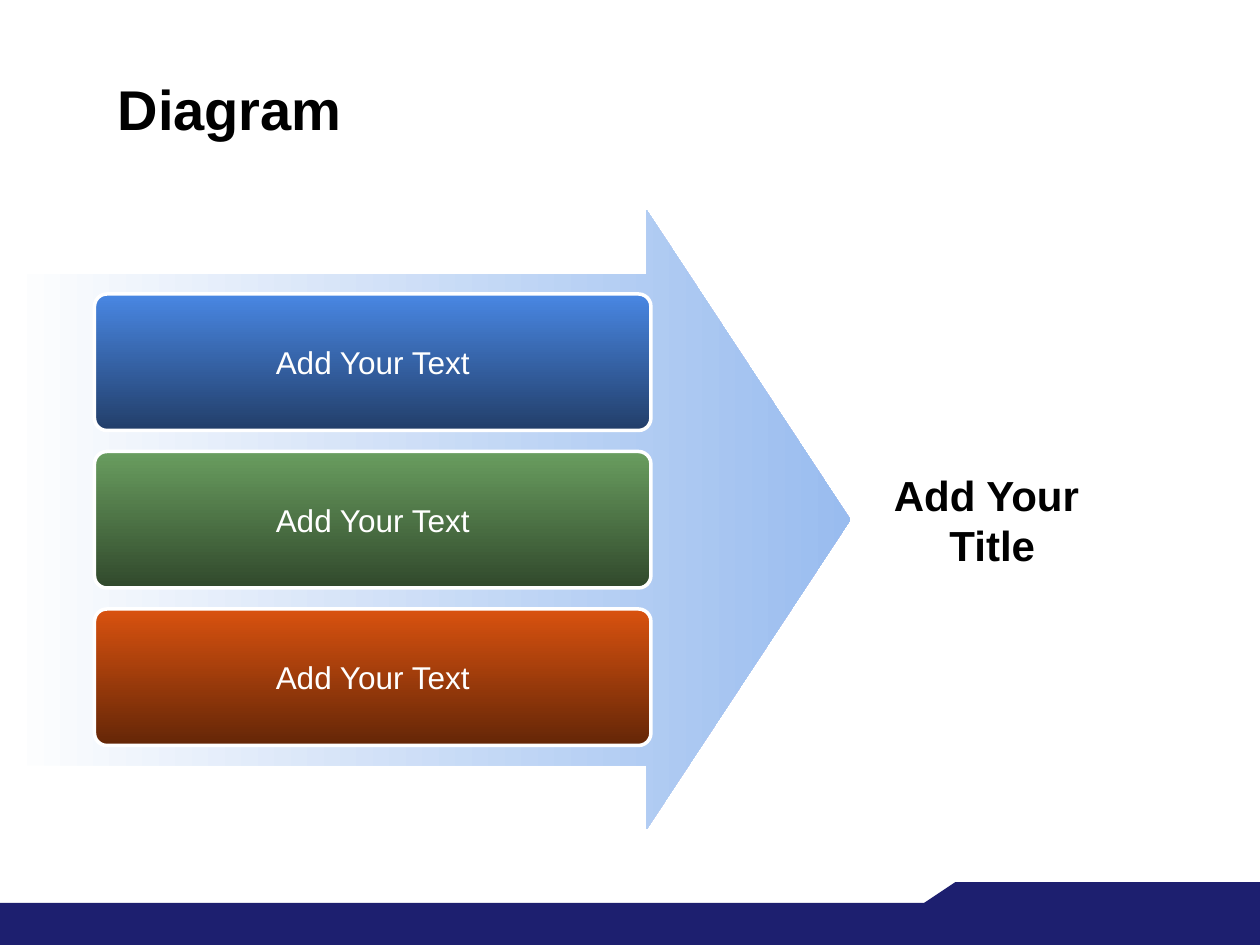
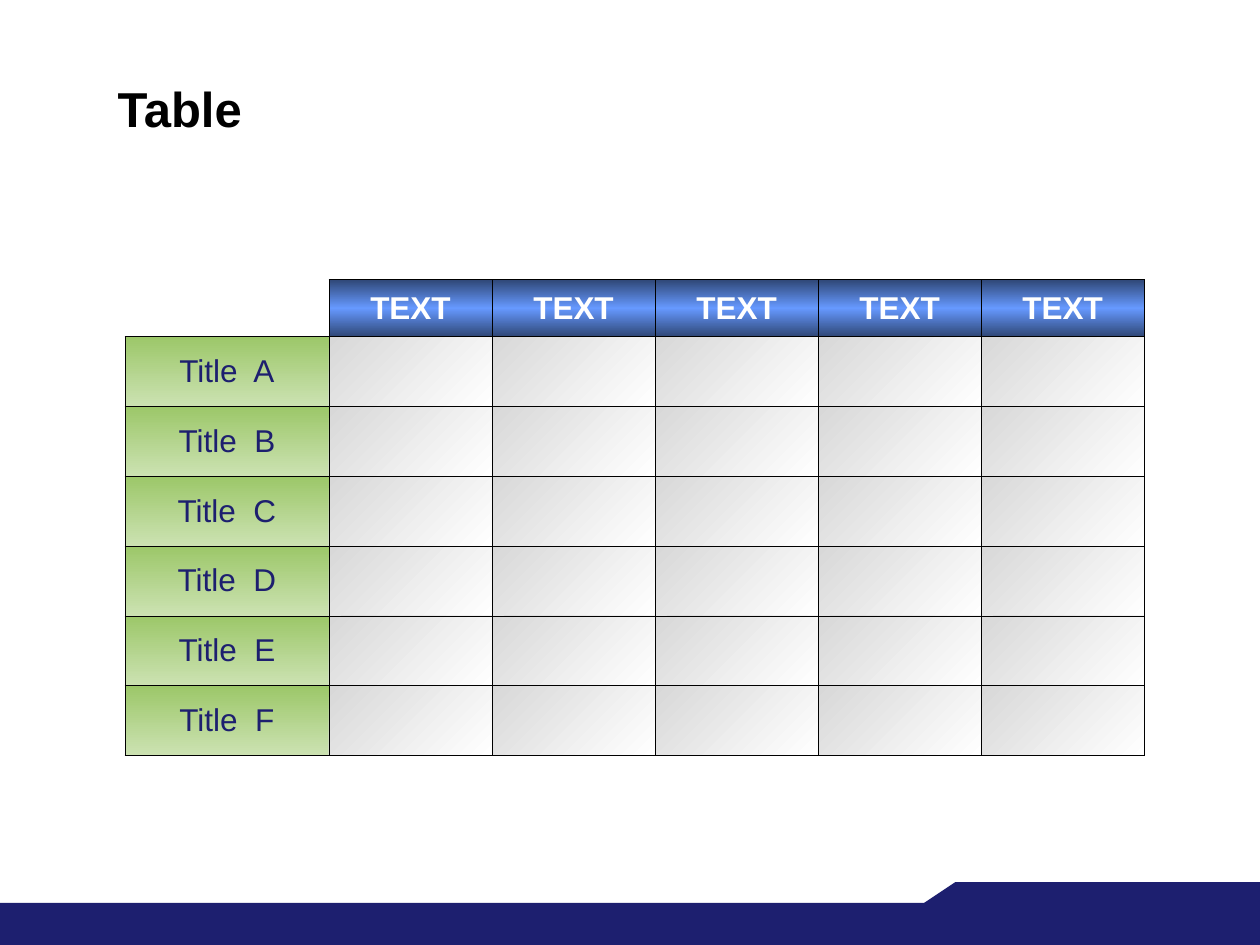
from lxml.etree import SubElement
from pptx import Presentation
from pptx.dml.color import RGBColor
from pptx.enum.shapes import MSO_SHAPE
from pptx.enum.text import MSO_ANCHOR, PP_ALIGN
from pptx.oxml.ns import qn
from pptx.util import Pt

FONT = "Arial"
NAVY = RGBColor(0x1D, 0x1F, 0x6F)
BLACK = RGBColor(0, 0, 0)
WHITE = RGBColor(0xFF, 0xFF, 0xFF)
ARROW = RGBColor(0xFC, 0xFD, 0xFE), RGBColor(0x99, 0xBC, 0xEF)
BLUE = RGBColor(0x49, 0x87, 0xE3), RGBColor(0x22, 0x3E, 0x69)
GREEN = RGBColor(0x69, 0x9D, 0x5F), RGBColor(0x31, 0x49, 0x2C)
RUST = RGBColor(0xD9, 0x52, 0x0F), RGBColor(0x64, 0x26, 0x07)
DUSK = RGBColor(0x2F, 0x47, 0x76)
HEAD = DUSK, RGBColor(0x66, 0x99, 0xFF), DUSK
LIME = RGBColor(0x9C, 0xC7, 0x69), RGBColor(0xCC, 0xE2, 0xB2)
GREY = RGBColor(0xD8, 0xD8, 0xD8), WHITE


def shade(item, node, angle, tones):
    """Fill a shape or cell with evenly spaced tones; angle runs clockwise."""
    item.fill.gradient()
    item.fill.gradient_angle = -angle % 360
    stops = node.find(".//" + qn("a:gsLst"))
    stops.clear()
    for i, tone in enumerate(tones):
        stop = SubElement(stops, qn("a:gs"), pos=str(100000 * i // (len(tones) - 1)))
        SubElement(stop, qn("a:srgbClr"), val=str(tone))


def style(para, size, color, bold=False, align=PP_ALIGN.CENTER):
    para.alignment = align
    para.font.name = FONT
    para.font.size = Pt(size)
    para.font.bold = bold
    para.font.color.rgb = color


deck = Presentation()
deck.slide_width, deck.slide_height = Pt(720), Pt(540)
layout = deck.slide_layouts[5]

# Shared title place
title = layout.placeholders[0]
title.left, title.top, title.width, title.height = Pt(60), Pt(39.6), Pt(618), Pt(44.6)

# Slides with their titles
pages = []
for name, size in (("Diagram", 32), ("Table", 28)):
    page = deck.slides.add_slide(layout)
    page.shapes.title.text = name
    page.shapes.title.text_frame.vertical_anchor = MSO_ANCHOR.MIDDLE
    style(page.shapes.title.text_frame.paragraphs[0], size, BLACK, True, PP_ALIGN.LEFT)
    pages.append(page)
first, second = pages

# Footer band and its raised step, moved to the layout
band = first.shapes.add_shape(MSO_SHAPE.RECTANGLE, 0, Pt(516), Pt(720), Pt(24))
pen = first.shapes.build_freeform(528, 516, scale=Pt(1))
pen.add_line_segments([(546, 504), (720, 504), (720, 522), (528, 522)])
step = pen.convert_to_shape()
tree = layout.element.find(".//" + qn("p:spTree"))
for part in (band, step):
    part.shadow.inherit = False
    part.fill.solid()
    part.fill.fore_color.rgb = NAVY
    part.line.fill.background()
    tree.append(part.element)

# Diagram: big arrow
arrow = first.shapes.add_shape(MSO_SHAPE.RIGHT_ARROW, Pt(15.5), Pt(120), Pt(470.5), Pt(354))
arrow.adjustments[0], arrow.adjustments[1] = 0.793, 0.329
arrow.shadow.inherit = False
arrow.line.fill.background()
shade(arrow, arrow.element, 0, ARROW)

# Diagram: three boxes on the arrow
for i, tones in enumerate((BLUE, GREEN, RUST)):
    box = first.shapes.add_shape(
        MSO_SHAPE.ROUNDED_RECTANGLE, Pt(54), Pt(168 + 90 * i), Pt(318), Pt(78))
    box.adjustments[0] = 0.091
    box.shadow.inherit = False
    shade(box, box.element, 90, tones)
    box.line.color.rgb = WHITE
    box.line.width = Pt(2)
    frame = box.text_frame
    frame.word_wrap = False
    frame.vertical_anchor = MSO_ANCHOR.MIDDLE
    frame.text = "Add Your Text"
    style(frame.paragraphs[0], 18, WHITE)

# Diagram: label at the arrow tip
label = first.shapes.add_textbox(Pt(468), Pt(246), Pt(198), Pt(102))
frame = label.text_frame
frame.word_wrap = True
frame.vertical_anchor = MSO_ANCHOR.MIDDLE
frame.text = "Add Your \nTitle"
for para in frame.paragraphs:
    style(para, 24, BLACK, True)

# Table
rows = [[""] + ["TEXT"] * 5] + [[f"Title  {mark}"] + [""] * 5 for mark in "ABCDEF"]
grid = second.shapes.add_table(7, 6, Pt(71.4), Pt(159.8), Pt(582.6), Pt(272)).table
for i, col in enumerate(grid.columns):
    col.width = Pt(93.2 if i else 116.6)
for i, row in enumerate(grid.rows):
    row.height = Pt(39.9 if i else 32.6)

for r, row in enumerate(rows):
    for c, text in enumerate(row):
        cell = grid.cell(r, c)
        corner = r == c == 0
        cell.vertical_anchor = MSO_ANCHOR.MIDDLE
        cell.text = text
        para = cell.text_frame.paragraphs[0]
        para.space_before = Pt(4.5)
        style(para, 18, NAVY if r else WHITE, r == 0)

        # Borders; the corner is open at left and top
        props = cell._tc.get_or_add_tcPr()
        for side in "LRTB":
            line = SubElement(props, qn("a:ln" + side), w=str(Pt(0.45)))
            if corner and side in "LT":
                SubElement(line, qn("a:noFill"))
            else:
                ink = SubElement(line, qn("a:solidFill"))
                SubElement(ink, qn("a:srgbClr"), val=str(BLACK))

        if corner:
            cell.fill.background()
        elif r == 0:
            shade(cell, props, 90, HEAD)
        elif c == 0:
            shade(cell, props, 90, LIME)
        else:
            shade(cell, props, 45, GREY)

deck.save("out.pptx")
